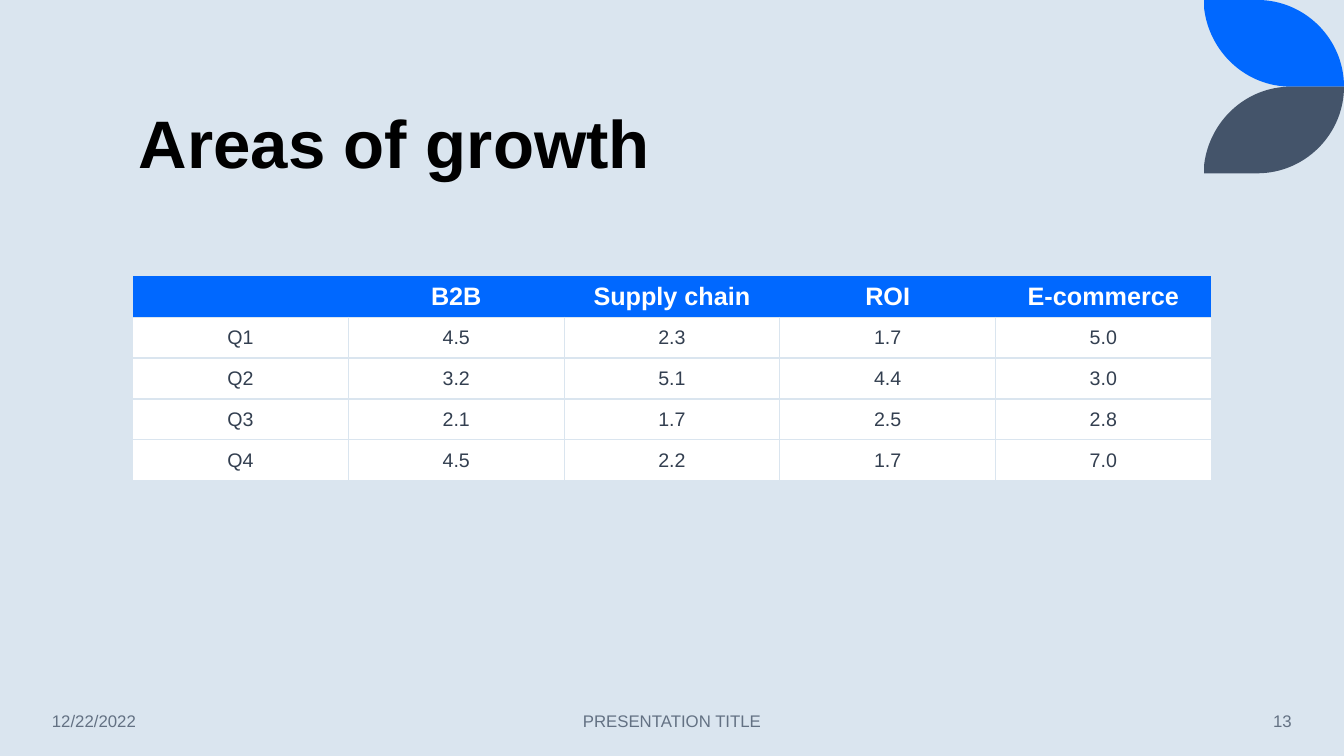
from dataclasses import dataclass

import lxml.etree
import pptx
import pptx.dml.color
import pptx.enum.text
import pptx.oxml
import pptx.oxml.ns
import pptx.util

ALIGN = pptx.enum.text.PP_ALIGN
ANCHOR = pptx.enum.text.MSO_ANCHOR

# Content
TITLE = "Areas of growth"
GROWTH = [
    ("", "B2B", "Supply chain", "ROI", "E-commerce"),
    ("Q1", "4.5", "2.3", "1.7", "5.0"),
    ("Q2", "3.2", "5.1", "4.4", "3.0"),
    ("Q3", "2.1", "1.7", "2.5", "2.8"),
    ("Q4", "4.5", "2.2", "1.7", "7.0"),
]

# Places on a grid of 160 columns by 90 rows: left, top, width, height
GRID_COLUMNS, GRID_ROWS = 160, 90
TITLE_PLACE = (15.3, 5.04, 128.28, 17.4)
TABLE_PLACE = (15.8, 32.88, 128.4, 24.36)
LEAF_WIDTH, LEAF_HEIGHT = 16.65, 10.32
FOOTER = [
    ("12/22/2022", ALIGN.LEFT, (5, 83.4, 22.32, 4.8)),
    ("PRESENTATION TITLE", ALIGN.CENTER, (53, 83.4, 54, 4.8)),
    ("13", ALIGN.RIGHT, (133.25, 83.4, 21.72, 4.8)),
]


@dataclass(frozen=True)
class Theme:
    font: str = "Arial"
    background: str = "DAE5EF"
    accent: str = "0068FF"
    slate: str = "44546A"
    white: str = "FFFFFF"
    heading: str = "000000"
    body: str = "333F50"
    muted: str = "637183"
    title_size: int = 48
    header_size: int = 18
    body_size: int = 14
    footer_size: int = 12


THEME = Theme()


def color(value):
    return pptx.dml.color.RGBColor.from_string(value)


def write(frame, text, size, ink, bold=False, align=ALIGN.LEFT):
    para = frame.paragraphs[0]
    para.alignment = align
    span = para.add_run()
    span.text = text
    span.font.name = THEME.font
    span.font.size = pptx.util.Pt(size)
    span.font.bold = bold
    span.font.color.rgb = color(ink)
    return para


def set_borders(cell, visible_sides):
    properties = cell._tc.get_or_add_tcPr()
    for side in "LRTB":
        paint = "<a:noFill/>"
        if side in visible_sides:
            paint = f'<a:solidFill><a:srgbClr val="{THEME.background}"/></a:solidFill>'
        properties.append(pptx.oxml.parse_xml(
            f'<a:ln{side} {pptx.oxml.ns.nsdecls("a")} w="12700">{paint}</a:ln{side}>'))


# Deck and page
deck = pptx.Presentation()
deck.slide_width = pptx.util.Inches(13.33)
deck.slide_height = pptx.util.Inches(7.5)
page = deck.slides.add_slide(deck.slide_layouts[5])
page.background.fill.solid()
page.background.fill.fore_color.rgb = color(THEME.background)
column_step = deck.slide_width / GRID_COLUMNS
row_step = deck.slide_height / GRID_ROWS


def place(left, top, width, height):
    return (round(left * column_step), round(top * row_step),
            round(width * column_step), round(height * row_step))


def bend(segment, controls):
    """Turn a straight outline segment into a Bezier curve."""
    segment.tag = pptx.oxml.ns.qn("a:cubicBezTo")
    for index, (x, y) in enumerate(controls):
        point = lxml.etree.Element(pptx.oxml.ns.qn("a:pt"), x=str(round(x)), y=str(round(y)))
        segment.insert(index, point)


def add_leaf(top, fill, mirrored):
    """Draw a leaf with two curved corners, optionally upside down."""
    left, top, width, height = place(
        GRID_COLUMNS - LEAF_WIDTH, top, LEAF_WIDTH, LEAF_HEIGHT)
    shoulder = width - height

    def turn(points):
        return [(x, height - y if mirrored else y) for x, y in points]

    corners = turn([(0, 0), (shoulder, 0), (width, height),
                    (height, height), (0, 0.1 * height)])
    outline = [(left + x, top + y) for x, y in corners]
    builder = page.shapes.build_freeform(*outline[0])
    builder.add_line_segments(outline[1:], close=True)
    leaf = builder.convert_to_shape()
    segments = leaf._element.xpath(".//a:lnTo")
    bend(segments[1], turn([(shoulder + 0.55 * height, 0), (width, 0.45 * height)]))
    bend(segments[3], turn([(0.48 * height, height), (0.06 * height, 0.6 * height)]))
    leaf.shadow.inherit = False
    leaf.fill.solid()
    leaf.fill.fore_color.rgb = color(fill)
    leaf.line.fill.background()


# Corner leaves
add_leaf(0, THEME.accent, mirrored=False)
add_leaf(LEAF_HEIGHT, THEME.slate, mirrored=True)

# Title
title = page.shapes.title
title.left, title.top, title.width, title.height = place(*TITLE_PLACE)
title.text_frame.vertical_anchor = ANCHOR.BOTTOM
title.text_frame.word_wrap = True
write(title.text_frame, TITLE, THEME.title_size, THEME.heading, bold=True).line_spacing = 0.9

# Growth table
table = page.shapes.add_table(len(GROWTH), len(GROWTH[0]), *place(*TABLE_PLACE)).table
table.horz_banding = False
for row, values in enumerate(GROWTH):
    is_header = row == 0
    for column, value in enumerate(values):
        cell = table.cell(row, column)
        set_borders(cell, "B" if is_header else "LRTB")
        cell.fill.solid()
        cell.fill.fore_color.rgb = color(THEME.accent if is_header else THEME.white)
        cell.vertical_anchor = ANCHOR.MIDDLE
        if value:
            write(cell.text_frame, value,
                  THEME.header_size if is_header else THEME.body_size,
                  THEME.white if is_header else THEME.body,
                  bold=is_header, align=ALIGN.CENTER)
        else:
            # An empty cell must not stretch its row
            lxml.etree.SubElement(cell.text_frame.paragraphs[0]._p,
                                  pptx.oxml.ns.qn("a:endParaRPr"),
                                  sz=str(THEME.body_size * 100))

# Footer
for text, align, spot in FOOTER:
    box = page.shapes.add_textbox(*place(*spot))
    box.text_frame.word_wrap = True
    box.text_frame.vertical_anchor = ANCHOR.MIDDLE
    write(box.text_frame, text, THEME.footer_size, THEME.muted, align=align)

deck.save("out.pptx")
